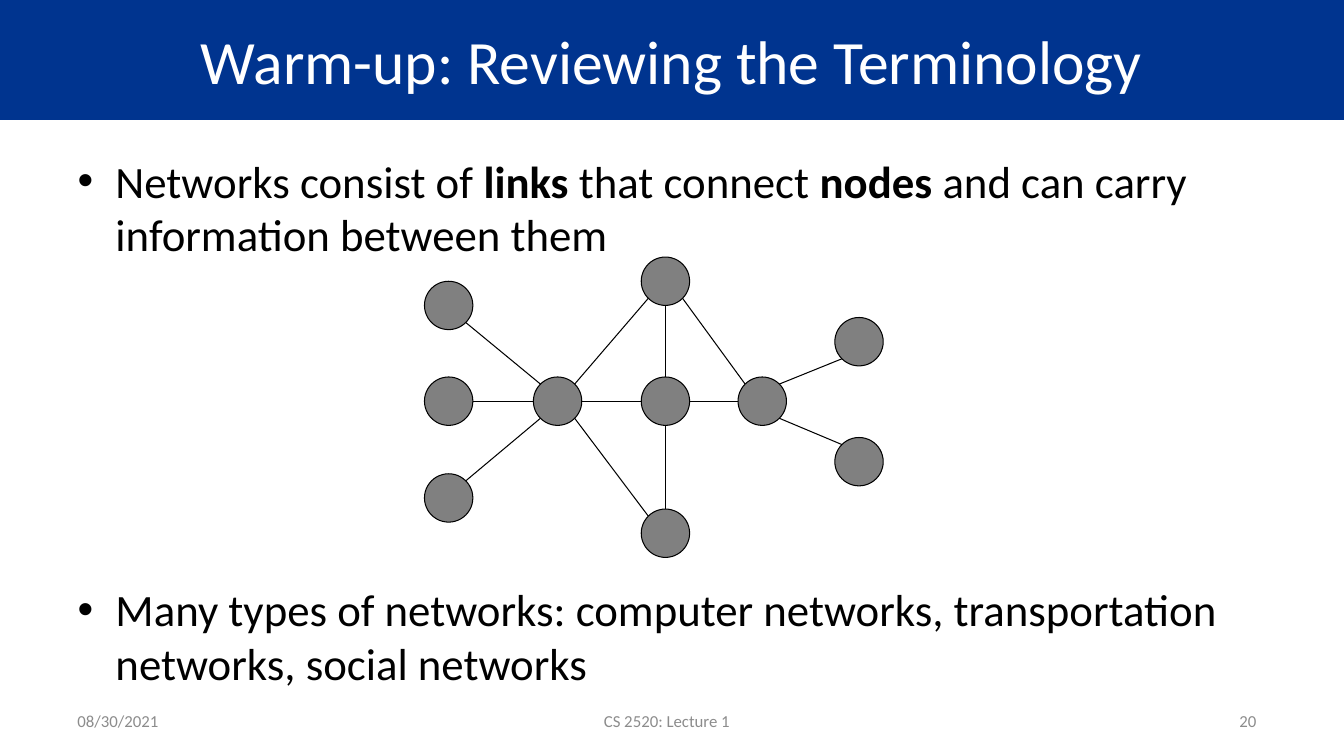
"""Build the network terminology slide."""
import math
import pptx
import pptx.util
import pptx.oxml
import pptx.dml.color
import pptx.enum.text
import pptx.enum.shapes

TITLE = "Warm-up: Reviewing the Terminology"
BODY = [
    (0, [("Networks consist of ", False), ("links", True), (" that connect ", False),
         ("nodes", True), (" and can carry information between them", False)]),
    (229.5, [("Many types of networks: computer networks, transportation networks, "
              "social networks", False)]),
]
FOOTER = [
    ("08/30/2021", 0.67, 1.64, "LEFT"),
    ("CS 2520: Lecture 1", 2.05, 9.13, "CENTER"),
    ("20", 11.17, 1.39, "RIGHT"),
]
NODES = {
    "top": (6.6, 2.79), "hub": (5.53, 3.98), "low": (6.6, 5.29),
    "mid": (6.6, 3.98), "gate": (7.56, 3.98),
    "east low": (8.52, 4.58), "east top": (8.52, 3.39),
    "west top": (4.45, 3.03), "west mid": (4.45, 3.98), "west low": (4.45, 4.94),
}
LINKS = [
    ("west top", "hub"), ("west mid", "hub"), ("west low", "hub"),
    ("low", "mid"), ("mid", "top"), ("hub", "mid"), ("gate", "mid"),
    ("gate", "east top"), ("gate", "east low"),
    ("hub", "top"), ("hub", "low"), ("top", "gate"),
]
RADIUS = 0.24
COLORS = {"band": "00348F", "title": "FFFFFF", "text": "000000",
          "foot": "8C8C8C", "node": "808080", "line": "000000"}
Inches, Pt = pptx.util.Inches, pptx.util.Pt
ALIGN, ANCHOR = pptx.enum.text.PP_ALIGN, pptx.enum.text.MSO_ANCHOR


def color(name):
    return pptx.dml.color.RGBColor.from_string(COLORS[name])


def place(shape, *box):
    shape.left, shape.top, shape.width, shape.height = map(Inches, box)


def add_run(para, text, size, name, bold=False):
    run = para.add_run()
    run.text = text
    run.font.name = "Calibri"
    run.font.size = Pt(size)
    run.font.bold = bold
    run.font.color.rgb = color(name)


def sign(gap):
    return (gap > 0) - (gap < 0)


def edge(start, end):
    """Return the rim point of start, in steps of 45 degrees, that faces end."""
    ways = [sign(b - a) for a, b in zip(start, end)]
    reach = RADIUS / math.hypot(*ways)
    return [Inches(a + way * reach) for a, way in zip(start, ways)]


def add_text(slide):
    title, body = slide.placeholders
    place(title, 0, 0, 13.33, 1.19)
    title.fill.solid()
    title.fill.fore_color.rgb = color("band")
    frame = title.text_frame
    frame.vertical_anchor = ANCHOR.MIDDLE
    frame.auto_size = pptx.enum.text.MSO_AUTO_SIZE.NONE
    frame.paragraphs[0].alignment = ALIGN.CENTER
    add_run(frame.paragraphs[0], TITLE, 44, "title")

    place(body, 0.67, 1.47, 12, 5.23)
    frame = body.text_frame
    frame.auto_size = pptx.enum.text.MSO_AUTO_SIZE.NONE
    for i, (space, runs) in enumerate(BODY):
        para = frame.add_paragraph() if i else frame.paragraphs[0]
        para.space_before = Pt(space)
        for text, bold in runs:
            add_run(para, text, 32, "text", bold)

    for text, left, width, side in FOOTER:
        box = slide.shapes.add_textbox(*map(Inches, (left, 6.95, width, 0.4)))
        frame = box.text_frame
        frame.word_wrap = True
        frame.vertical_anchor = ANCHOR.MIDDLE
        frame.paragraphs[0].alignment = ALIGN[side]
        add_run(frame.paragraphs[0], text, 12, "foot")


def add_graph(slide):
    shapes = slide.shapes.add_group_shape().shapes
    for x, y in NODES.values():
        box = (x - RADIUS, y - RADIUS, 2 * RADIUS, 2 * RADIUS)
        node = shapes.add_shape(pptx.enum.shapes.MSO_SHAPE.OVAL, *map(Inches, box))
        node.shadow.inherit = False
        node.fill.solid()
        node.fill.fore_color.rgb = color("node")
        node.line.color.rgb = color("line")
        node.line.width = Pt(0.75)
    for a, b in LINKS:
        start, end = NODES[a], NODES[b]
        link = shapes.add_connector(pptx.enum.shapes.MSO_CONNECTOR.STRAIGHT,
                                    *edge(start, end), *edge(end, start))
        link.line.color.rgb = color("line")
        link.line.width = Pt(0.75)
        blank = pptx.oxml.parse_xml(
            '<a:effectLst xmlns:a="http://schemas.openxmlformats.org/drawingml/2006/main"/>')
        link._element.spPr.append(blank)


def main():
    deck = pptx.Presentation()
    deck.slide_width, deck.slide_height = Inches(13.33), Inches(7.5)
    slide = deck.slides.add_slide(deck.slide_layouts[1])
    add_text(slide)
    add_graph(slide)
    deck.save("out.pptx")


if __name__ == "__main__":
    main()
